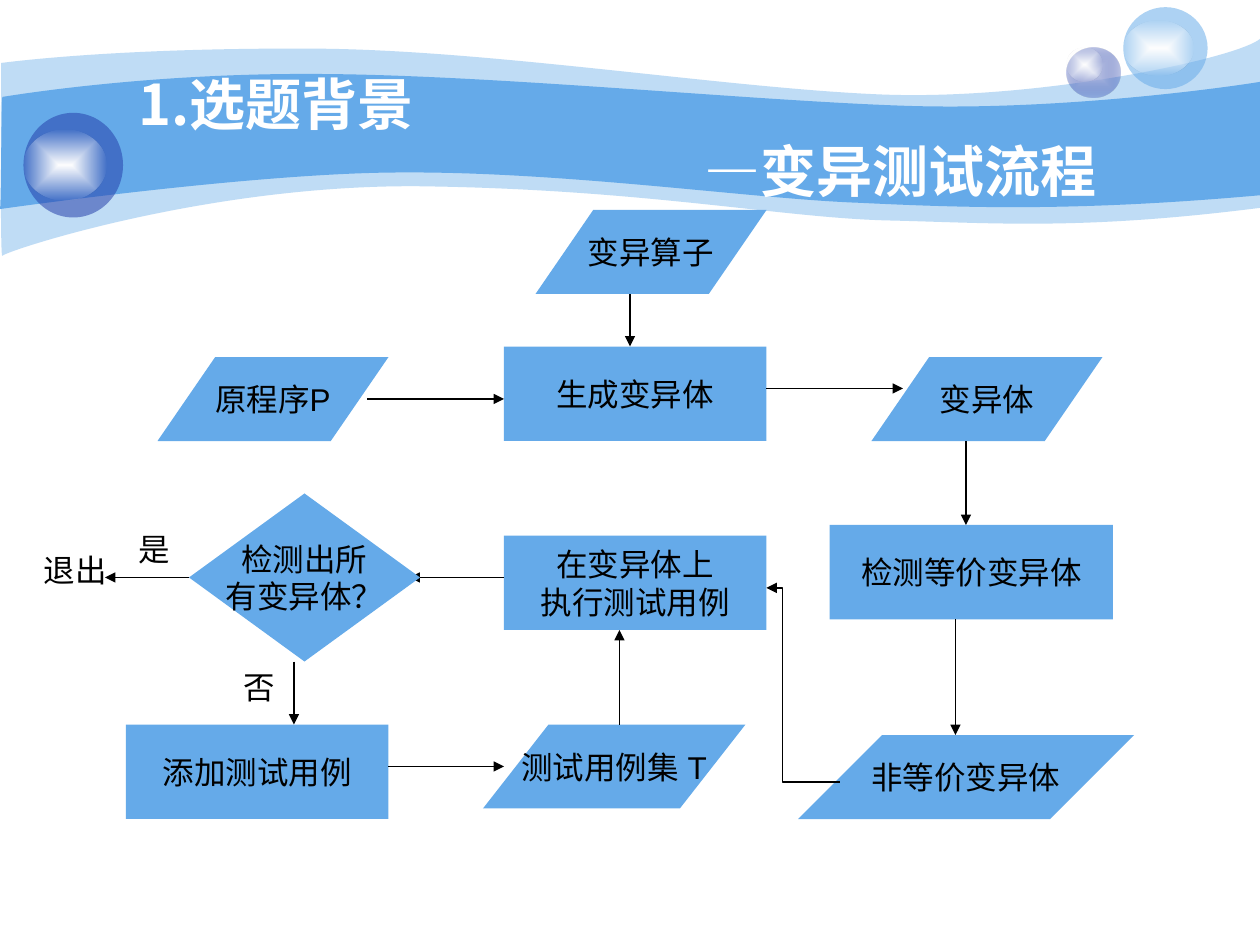
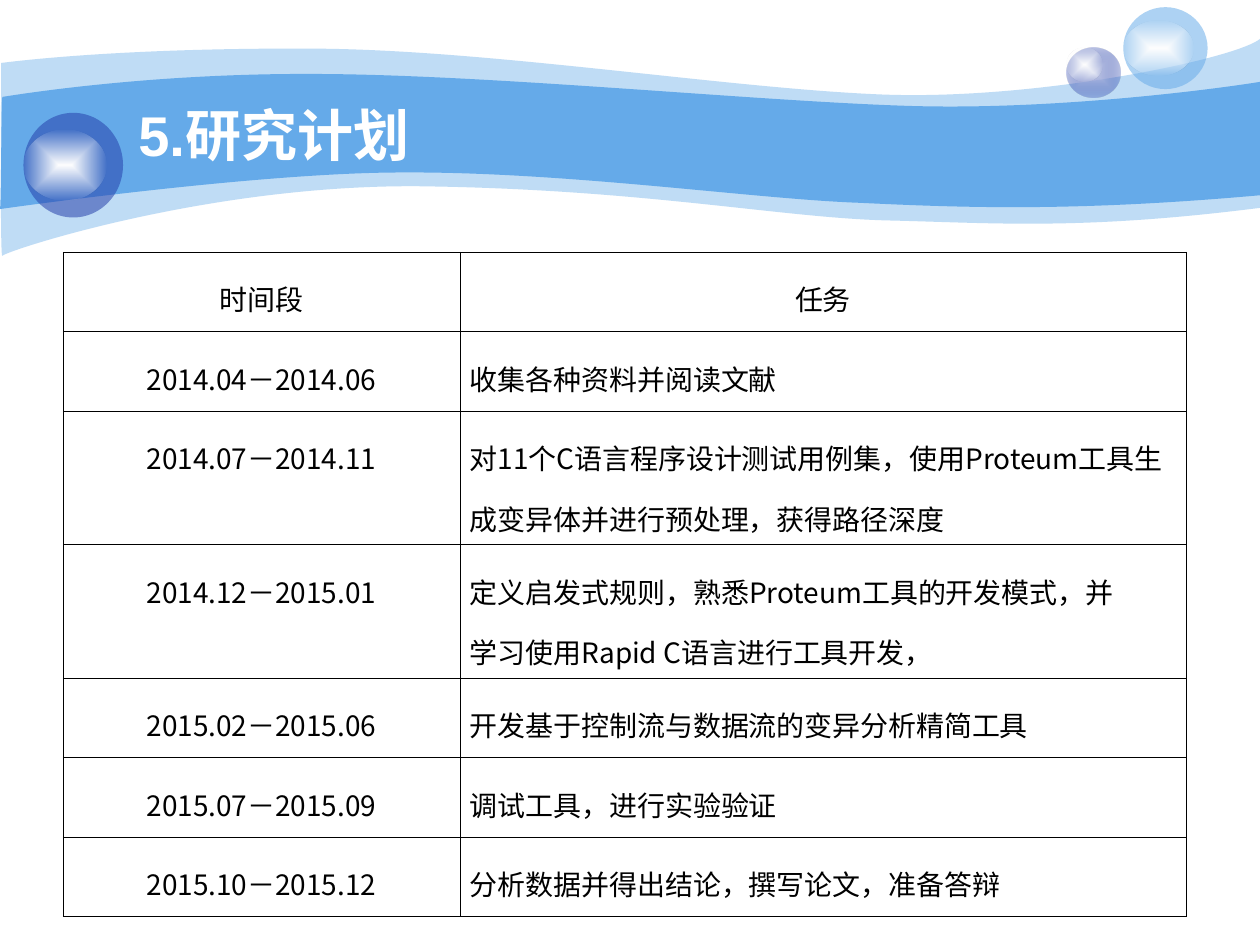
from dataclasses import dataclass

from lxml import etree
from pptx import Presentation
from pptx import util as u
from pptx.dml.color import RGBColor
from pptx.enum import shapes, text
from pptx.oxml import ns


@dataclass(frozen=True)
class Theme:
    band: str = "65AAE9"
    deep: str = "233DA9"
    pale: str = "C7CEE9"
    white: str = "FFFFFF"
    ink: str = "000000"
    latin: str = "Arial"
    chinese: str = "Noto Sans CJK SC"
    title_size: float = 32
    node_size: float = 18
    table_size: float = 16
    tight: float = 1.2
    line_width: float = 0.75
    border_width: float = 0.25


THEME = Theme()
SHAPE = shapes.MSO_SHAPE
CENTER = text.PP_ALIGN.CENTER
LEFT = text.PP_ALIGN.LEFT


@dataclass(frozen=True)
class Box:
    left: float
    top: float
    width: float
    height: float

    def lengths(self) -> tuple:
        return tuple(u.Pt(v) for v in (self.left, self.top, self.width, self.height))


@dataclass(frozen=True)
class Stop:
    colour: str
    alpha: int = 100


@dataclass(frozen=True)
class Orb:
    box: Box
    stops: tuple


@dataclass(frozen=True)
class Wave:
    start: tuple
    curves: tuple
    alpha: int


@dataclass(frozen=True)
class Node:
    label: str
    box: Box
    kind: SHAPE = SHAPE.RECTANGLE


@dataclass(frozen=True)
class Arrow:
    start: tuple
    end: tuple
    bend: float | None = None


@dataclass(frozen=True)
class TitleLine:
    label: str
    font: str = THEME.chinese
    indent: float = 0


GLOW = (Stop(THEME.white), Stop(THEME.white, 0))
ORBS = (
    Orb(Box(609.8, 27.2, 30.2, 28.8), (Stop(THEME.pale), Stop(THEME.deep, 31))),
    Orb(Box(609.8, 27.2, 20.2, 19.4), GLOW),
    Orb(Box(641.9, 4.1, 48.2, 46.8), (Stop(THEME.band, 53),)),
    Orb(Box(641.9, 12.1, 40.3, 31), GLOW),
    Orb(Box(13.4, 64.5, 56.9, 59.8), (Stop(THEME.deep, 53),)),
    Orb(Box(13.4, 74.2, 47.5, 40.3), GLOW),
)
WAVES = (
    Wave((0.7, 36), (
        ((18, 33.8), (77.8, 27.4), (177.8, 27.8)),
        ((277.9, 28.1), (414.7, 50.4), (503.3, 54)),
        ((591.8, 57.6), (705.6, 33.8), (720, 22.3)),
        ((720, 118.8),),
        ((617.8, 131.8), (567.4, 127.4), (507.6, 126)),
        ((447.8, 124.6), (370.8, 108.7), (247.7, 106.6)),
        ((123.8, 103.7), (3.6, 143.3), (1.4, 146.2)),
        ((0, 149.8), (0.7, 54), (0.7, 36)),
    ), 41),
    Wave((1.4, 55.4), (
        ((2.2, 55.4), (79.9, 41.8), (179.3, 42.3)),
        ((278.6, 42.5), (429.1, 57.6), (517.7, 60.5)),
        ((605.5, 63.4), (702.7, 49.7), (720, 46.8)),
        ((720, 111.6),),
        ((614.2, 121), (551.5, 118.8), (491, 115.9)),
        ((431.3, 113.8), (322.6, 97.9), (229, 98.6)),
        ((146.9, 98.6), (-0.7, 119.5), (0, 119.5)),
        ((0.7, 119.5), (0.7, 55.4), (1.4, 55.4)),
    ), 100),
)

NODES = (
    Node("原程序P", Box(90, 204, 132, 48), SHAPE.PARALLELOGRAM),
    Node("生成变异体", Box(288, 198, 150, 54)),
    Node("变异算子", Box(306, 120, 132, 48), SHAPE.PARALLELOGRAM),
    Node("变异体", Box(498, 204, 132, 48), SHAPE.PARALLELOGRAM),
    Node("检测等价变异体", Box(474, 300, 162, 54)),
    Node("非等价变异体", Box(456, 420, 192, 48), SHAPE.PARALLELOGRAM),
    Node("在变异体上\n执行测试用例", Box(288, 306, 150, 54)),
    Node("添加测试用例", Box(72, 414, 150, 54)),
    Node("测试用例集 T", Box(276, 414, 150, 48), SHAPE.PARALLELOGRAM),
)
DECISION = Node("检测出所\n有变异体？", Box(108, 282, 132, 96), SHAPE.DIAMOND)
ARROWS = (
    Arrow((210, 228), (288, 228)),
    Arrow((360, 168), (360, 198)),
    Arrow((438, 222), (516, 222)),
    Arrow((552, 252), (552, 300)),
    Arrow((546, 354), (546, 420)),
    Arrow((288, 330), (234, 330)),
    Arrow((168, 378), (168, 414)),
    Arrow((222, 438), (288, 438)),
    Arrow((354, 414), (354, 360)),
    Arrow((480, 447), (438, 336), 0.785),
)
EXIT_ARROW = Arrow((108, 330), (60, 330))
LABELS = (
    ("是", Box(72, 299.5, 48, 28.8)),
    ("退出", Box(18, 311.5, 66, 28.8)),
    ("否", Box(132, 378, 42, 28.8)),
)

PLAN = (
    ("时间段", "任务"),
    ("2014.04－2014.06", "收集各种资料并阅读文献"),
    ("2014.07－2014.11", "对11个C语言程序设计测试用例集，使用Proteum工具生成变异体并进行预处理，获得路径深度"),
    ("2014.12－2015.01", "定义启发式规则，熟悉Proteum工具的开发模式，并\n学习使用Rapid C语言进行工具开发，"),
    ("2015.02－2015.06", "开发基于控制流与数据流的变异分析精简工具"),
    ("2015.07－2015.09", "调试工具，进行实验验证"),
    ("2015.10－2015.12", "分析数据并得出结论，撰写论文，准备答辩"),
)
PLAN_COLUMNS = (226.8, 415)
SHORT_ROW, TALL_ROW = 45.45, 76.3
TALL_ROWS = (2, 3)


def child(parent, tag: str, **attributes):
    element = etree.SubElement(parent, ns.qn(tag))
    for name, value in attributes.items():
        element.set(name, str(value))
    return element


def add_colour(parent, stop: Stop) -> None:
    colour = child(parent, "a:srgbClr", val=stop.colour)
    if stop.alpha < 100:
        child(colour, "a:alpha", val=stop.alpha * 1000)


def paint(shape, stops: tuple) -> None:
    shape.shadow.inherit = False
    shape.line.fill.background()
    shape.fill.solid()
    solid = shape._element.spPr.find(ns.qn("a:solidFill"))
    if len(stops) == 1:
        for colour in list(solid):
            solid.remove(colour)
        add_colour(solid, stops[0])
        return
    gradient = etree.Element(ns.qn("a:gradFill"), rotWithShape="1")
    stop_list = child(gradient, "a:gsLst")
    for index, stop in enumerate(stops):
        add_colour(child(stop_list, "a:gs", pos=index * 100000), stop)
    focus = child(gradient, "a:path", path="rect")
    child(focus, "a:fillToRect", l=50000, t=50000, r=50000, b=50000)
    solid.getparent().replace(solid, gradient)


def write_text(paragraph, label: str, *, size: float, colour: str = THEME.ink, font: str = THEME.latin,
               bold: bool = False, align=LEFT, spacing=None, indent: float = 0) -> None:
    paragraph.alignment = align
    paragraph.line_spacing = spacing or u.Pt(round(size * THEME.tight, 1))
    if indent:
        properties = paragraph._p.get_or_add_pPr()
        properties.set("marL", str(u.Pt(indent)))
        properties.set("indent", "0")
    run = paragraph.add_run()
    run.text = label
    run.font.size = u.Pt(size)
    run.font.bold = bold
    run.font.name = font
    run.font.color.rgb = RGBColor.from_string(colour)
    child(run._r.get_or_add_rPr(), "a:ea", typeface=font)


def write_lines(frame, label: str, **style) -> None:
    for index, line in enumerate(label.split("\n")):
        paragraph = frame.add_paragraph() if index else frame.paragraphs[0]
        write_text(paragraph, line, **style)


def add_wave(slide, wave: Wave):
    points = [(u.Pt(x), u.Pt(y)) for curve in wave.curves for x, y in curve]
    builder = slide.shapes.build_freeform(u.Pt(wave.start[0]), u.Pt(wave.start[1]))
    builder.add_line_segments(points, close=False)
    shape = builder.convert_to_shape()
    outline = next(shape._element.iter(ns.qn("a:path")))
    segments = iter(outline.findall(ns.qn("a:lnTo")))
    for curve in wave.curves:
        if len(curve) == 1:
            outline.append(next(segments))
            continue
        bezier = child(outline, "a:cubicBezTo")
        for _ in curve:
            segment = next(segments)
            bezier.append(segment[0])
            outline.remove(segment)
    child(outline, "a:close")
    paint(shape, (Stop(THEME.band, wave.alpha),))
    return shape


def add_orb(slide, orb: Orb):
    shape = slide.shapes.add_shape(SHAPE.OVAL, *orb.box.lengths())
    paint(shape, orb.stops)
    return shape


def decorate_master(presentation, slide) -> None:
    decorations = [add_wave(slide, wave) for wave in WAVES] + [add_orb(slide, orb) for orb in ORBS]
    for number, shape in enumerate(decorations, 101):
        element = shape._element
        element.nvSpPr.cNvPr.set("id", str(number))
        presentation.slide_master.shapes.element.append(element)


def add_titled_slide(presentation, title_box: Box, title: tuple):
    slide = presentation.slides.add_slide(presentation.slide_layouts[6])
    frame = slide.shapes.add_textbox(*title_box.lengths()).text_frame
    frame.word_wrap = True
    frame.vertical_anchor = text.MSO_ANCHOR.MIDDLE
    for index, line in enumerate(title):
        paragraph = frame.add_paragraph() if index else frame.paragraphs[0]
        write_text(paragraph, line.label, size=THEME.title_size, colour=THEME.white,
                   font=line.font, bold=True, indent=line.indent)
    return slide


def add_node(slide, node: Node):
    shape = slide.shapes.add_shape(node.kind, *node.box.lengths())
    if node.kind == SHAPE.PARALLELOGRAM:
        shape.adjustments[0] = node.box.width / 4 / node.box.height
    paint(shape, (Stop(THEME.band),))
    frame = shape.text_frame
    frame.word_wrap = False
    frame.vertical_anchor = text.MSO_ANCHOR.MIDDLE
    write_lines(frame, node.label, size=THEME.node_size, align=CENTER)
    return shape


def add_arrow(slide, arrow: Arrow):
    kind = shapes.MSO_CONNECTOR.STRAIGHT if arrow.bend is None else shapes.MSO_CONNECTOR.ELBOW
    connector = slide.shapes.add_connector(kind, *(u.Pt(v) for v in arrow.start + arrow.end))
    connector.line.width = u.Pt(THEME.line_width)
    connector.line.color.rgb = RGBColor.from_string(THEME.ink)
    properties = connector._element.spPr
    child(properties.find(ns.qn("a:ln")), "a:tailEnd", type="triangle")
    child(properties, "a:effectLst")
    if arrow.bend is not None:
        guides = properties.find(ns.qn("a:prstGeom")).get_or_add_avLst()
        child(guides, "a:gd", name="adj1", fmla=f"val {round(arrow.bend * 100000)}")
    return connector


def style_cell(cell, label: str, align) -> None:
    cell.margin_left = cell.margin_right = u.Pt(5.76)
    cell.margin_top = cell.margin_bottom = u.Pt(3.6)
    write_lines(cell.text_frame, label, size=THEME.table_size, font=THEME.chinese, align=align, spacing=1.5)
    properties = cell._tc.get_or_add_tcPr()
    for side in ("a:lnL", "a:lnR", "a:lnT", "a:lnB"):
        border = child(properties, side, w=u.Pt(THEME.border_width))
        add_colour(child(border, "a:solidFill"), Stop(THEME.ink))
    cell.fill.background()


def build_flow_slide(presentation) -> None:
    title = (TitleLine("1.选题背景"), TitleLine("—变异测试流程", indent=323.6))
    slide = add_titled_slide(presentation, Box(72, 66.2, 648, 23.8), title)
    decorate_master(presentation, slide)
    for node in NODES:
        add_node(slide, node)
    for arrow in ARROWS:
        add_arrow(slide, arrow)
    decision = add_node(slide, DECISION)
    add_arrow(slide, EXIT_ARROW).begin_connect(decision, 1)
    for label, box in LABELS:
        frame = slide.shapes.add_textbox(*box.lengths()).text_frame
        frame.word_wrap = True
        write_lines(frame, label, size=THEME.node_size)


def build_plan_slide(presentation) -> None:
    title = (TitleLine("5.研究计划", THEME.latin),)
    slide = add_titled_slide(presentation, Box(72, 63.4, 582, 26.6), title)
    heights = [TALL_ROW if row in TALL_ROWS else SHORT_ROW for row in range(len(PLAN))]
    box = Box(36, 144, sum(PLAN_COLUMNS), sum(heights))
    table = slide.shapes.add_table(len(PLAN), len(PLAN_COLUMNS), *box.lengths()).table
    table.first_row = table.horz_banding = False
    for column, width in zip(table.columns, PLAN_COLUMNS):
        column.width = u.Pt(width)
    for row, height in zip(table.rows, heights):
        row.height = u.Pt(height)
    for row, labels in enumerate(PLAN):
        for column, label in enumerate(labels):
            align = LEFT if row and column else CENTER
            style_cell(table.cell(row, column), label, align)


def main() -> None:
    presentation = Presentation()
    presentation.slide_width = u.Pt(720)
    presentation.slide_height = u.Pt(540)
    build_flow_slide(presentation)
    build_plan_slide(presentation)
    presentation.save("out.pptx")


if __name__ == "__main__":
    main()
